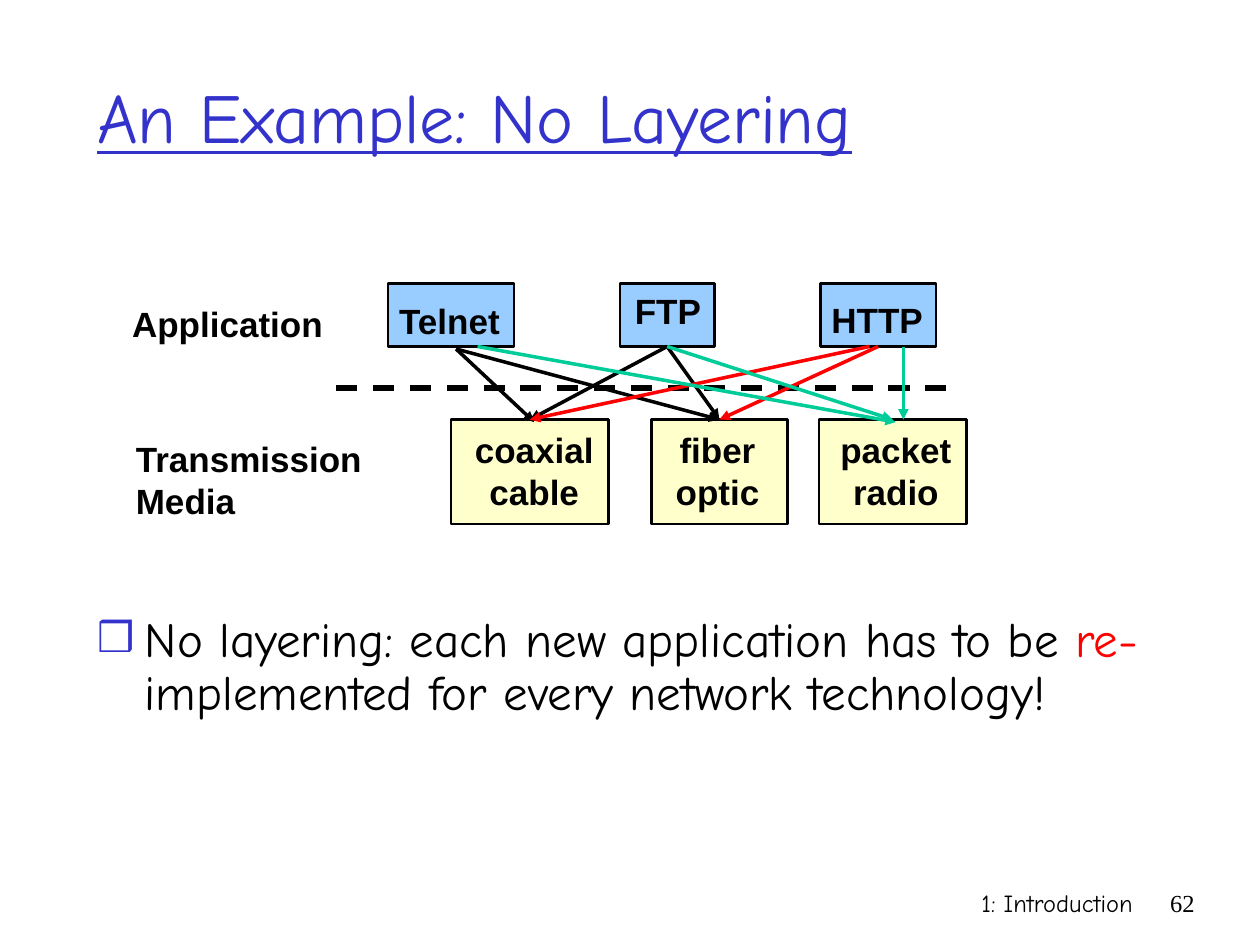
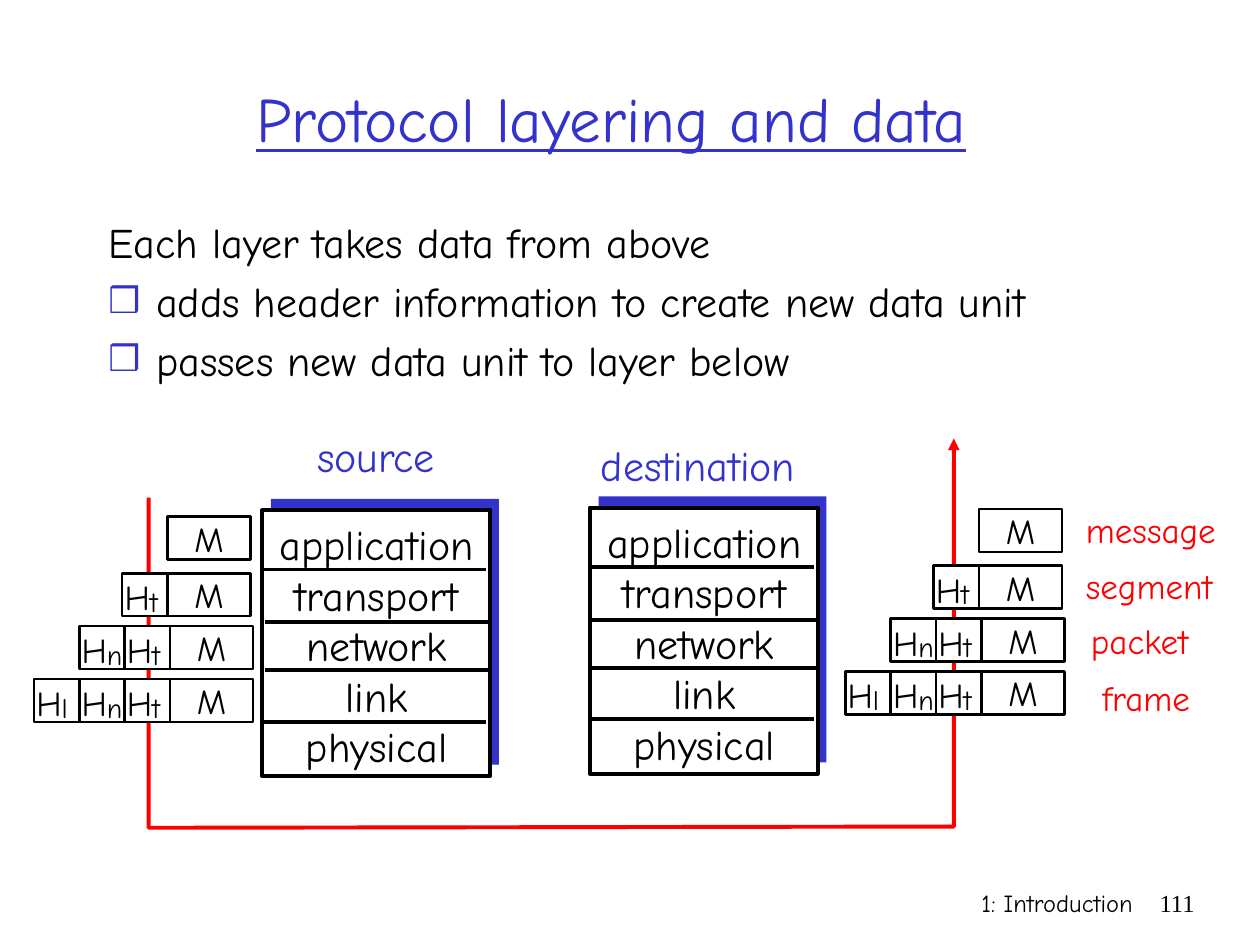
from lxml import etree
from pptx import Presentation
from pptx import util as u
from pptx.dml.color import RGBColor
from pptx.enum import dml, shapes, text
from pptx.oxml.ns import qn

HUES = {"ink": "000000", "white": "FFFFFF", "blue": "3333CC", "sky": "99CCFF",
        "cream": "FFFFCC", "red": "FF0000", "green": "00CC99"}
RGB = {name: RGBColor.from_string(code) for name, code in HUES.items()}
COMIC, ARIAL, TIMES = "Comic Neue", "Arial", "Times New Roman"
LEFT, MID, RIGHT = text.PP_ALIGN.LEFT, text.PP_ALIGN.CENTER, text.PP_ALIGN.RIGHT
INDENT = u.Inches(0.38)


def put(slide, at, words="", size=20, hue="ink", face=COMIC, bold=False,
        align=LEFT, wrap=False, fill=None, edge=1.5):
    """Add a text box, or a rectangle when a fill is given."""
    spot = [u.Inches(n) for n in at]
    if fill:
        box = slide.shapes.add_shape(shapes.MSO_SHAPE.RECTANGLE, *spot)
        box.shadow.inherit = False
        box.fill.solid()
        box.fill.fore_color.rgb = RGB[fill]
        if edge:
            box.line.color.rgb = RGB["ink"]
            box.line.width = u.Pt(edge)
        else:
            box.line.fill.background()
    else:
        box = slide.shapes.add_textbox(*spot)
    if words:
        frame = box.text_frame
        frame.text = words
        frame.word_wrap = wrap
        for para in frame.paragraphs:
            para.alignment = align
            for run in para.runs:
                run.font.size, run.font.name, run.font.bold = u.Pt(size), face, bold
                run.font.color.rgb = RGB[hue]
    return box


def link(slide, start, end, hue="ink", width=2.0, arrow=True):
    """Draw a line; an end is a point or a box (from its bottom, to its top)."""
    ends = [(0, 0) if hasattr(e, "shape_id") else e for e in (start, end)]
    line = slide.shapes.add_connector(
        shapes.MSO_CONNECTOR.STRAIGHT, *[u.Inches(n) for e in ends for n in e])
    if hasattr(start, "shape_id"):
        line.begin_connect(start, 2)
    if hasattr(end, "shape_id"):
        line.end_connect(end, 0)
    line.line.color.rgb = RGB[hue]
    line.line.width = u.Pt(width)
    props = line._element.spPr
    if arrow:
        etree.SubElement(props.find(qn("a:ln")), qn("a:tailEnd"), type="triangle")
    etree.SubElement(props, qn("a:effectLst"))
    return line


deck = Presentation()
deck.slide_width, deck.slide_height = u.Inches(10), u.Inches(7.5)

# Shared frame: title, list and footer; a list part is (words, colour)
pages = [
    dict(num="62", title="An Example: No Layering", size=40, align=LEFT,
         head=(0.67, 0.42, 8.5, 1), body=(0.67, 4.83, 8.67, 1.5), text=28, gap=0.9,
         items=[(True, [("No layering: each new application has to be ", "ink"),
                        ("re-", "red"),
                        ("implemented for every network technology!", "ink")])]),
    dict(num="111", title="Protocol layering and data", size=36, align=MID,
         head=(0.6, 0.31, 8.5, 1.25), body=(0.76, 1.67, 8.5, 1.66), text=24, gap=1.0,
         items=[(False, [("Each layer takes data from above", "ink")]),
                (True, [("adds header information to create new data unit", "ink")]),
                (True, [("passes new data unit to layer below", "ink")])]),
]
made = []
for page in pages:
    slide = deck.slides.add_slide(deck.slide_layouts[1])
    made.append(slide)
    title, body = slide.placeholders
    for hold, key in ((title, "head"), (body, "body")):
        hold.left, hold.top, hold.width, hold.height = [u.Inches(n) for n in page[key]]
        hold.text_frame.auto_size = text.MSO_AUTO_SIZE.NONE

    title.text_frame.text = page["title"]
    title.text_frame.vertical_anchor = text.MSO_ANCHOR.MIDDLE
    para = title.text_frame.paragraphs[0]
    para.alignment = page["align"]
    font = para.runs[0].font
    font.size, font.name, font.underline = u.Pt(page["size"]), COMIC, True
    font.color.rgb = RGB["blue"]

    for i, (mark, parts) in enumerate(page["items"]):
        frame = body.text_frame
        para = frame.add_paragraph() if i else frame.paragraphs[0]
        props = para._p.get_or_add_pPr()
        props.set("marL", str(INDENT))
        props.set("indent", str(-INDENT))
        if mark:
            tint = etree.SubElement(props, qn("a:buClr"))
            etree.SubElement(tint, qn("a:srgbClr"), val=HUES["blue"])
            etree.SubElement(props, qn("a:buSzPct"), val="85000")
            etree.SubElement(props, qn("a:buChar"), char="❒")
        else:
            etree.SubElement(props, qn("a:buNone"))
        para.line_spacing = page["gap"]
        para.space_before = u.Pt(page["text"] * 0.2 if i else 0)
        for words, hue in parts:
            run = para.add_run()
            run.text = words
            run.font.size, run.font.name = u.Pt(page["text"]), COMIC
            run.font.color.rgb = RGB[hue]

    put(slide, (5.92, 7, 3.17, 0.5), "1: Introduction", 14, align=RIGHT, wrap=True)
    put(slide, (9.08, 7, 0.5, 0.5), page["num"], 14, face=TIMES, align=RIGHT, wrap=True)

# Slide 1: applications above, media below
slide = made[0]
apps = {}
for name, left, width, spot in [
        ("Telnet", 3.08, 1, (3.07, 2.33, 1.1, 0.43)),
        ("FTP", 4.92, 0.75, (4.94, 2.25, 0.73, 0.43)),
        ("HTTP", 6.51, 0.92, (6.5, 2.32, 0.93, 0.43))]:
    apps[name] = put(slide, (left, 2.25, width, 0.5), fill="sky")
    put(slide, spot, name, face=ARIAL, bold=True)

media = []
for words, left, width, inner, span in [
        ("coaxial\ncable", 3.58, 1.25, 3.65, 1.18),
        ("fiber\noptic", 5.17, 1.08, 5.23, 0.93),
        ("packet\nradio", 6.5, 1.17, 6.57, 1.08)]:
    media.append(put(slide, (left, 3.33, width, 0.83), fill="cream"))
    put(slide, (inner, 3.35, span, 0.77), words, face=ARIAL, bold=True, align=MID)
coax, fiber, radio = media

# Row labels, with room to spare so that each word stays whole
put(slide, (0.95, 2.35, 1.8, 0.43), "Application", face=ARIAL, bold=True)
put(slide, (0.98, 3.42, 2.1, 0.77), "Transmission\nMedia", face=ARIAL, bold=True)

# Dashed border between the two rows, then every pairing
rule = link(slide, (2.67, 3.08), (7.58, 3.08), width=3, arrow=False)
rule.line.dash_style = dml.MSO_LINE.DASH
for start, end, hue in [
        ((3.62, 2.77), (4.24, 3.35), "ink"), ((3.62, 2.77), fiber, "ink"),
        (apps["FTP"], coax, "ink"), (apps["FTP"], fiber, "ink"),
        ((6.9, 2.75), coax, "red"), (apps["HTTP"], fiber, "red"),
        (apps["FTP"], radio, "green"), ((3.79, 2.75), (7.11, 3.35), "green"),
        ((7.17, 2.75), (7.17, 3.33), "green")]:
    link(slide, start, end, hue)

# Slide 2: the two protocol stacks
slide = made[1]
for left, top in ((2.08, 4.05), (4.68, 4.03)):
    put(slide, (left + 0.07, top - 0.09, 1.81, 2.11), fill="blue", edge=None)
    put(slide, (left, top, 1.81, 2.11), fill="white", edge=2.25)
    for shift, drop in ((-0.01, 0.47), (0.02, 0.89), (0.02, 1.27), (-0.01, 1.68)):
        x, y = left + shift, top + drop
        link(slide, (x, y), (x + 1.79, y), width=2.25, arrow=False)
    put(slide, (left - 0.02, top + 0.02, 1.86, 2.1),
        "application\ntransport\nnetwork\nlink\nphysical", 24, align=MID)
put(slide, (2.42, 3.37, 1.23, 0.5), "source", 24, "blue")
put(slide, (4.67, 3.44, 1.94, 0.5), "destination", 24, "blue")

# Route down the source and up the destination
route = [(u.Inches(x), u.Inches(y))
         for x, y in ((1.18, 3.95), (1.18, 6.57), (7.57, 6.56), (7.57, 3.48))]
pen = slide.shapes.build_freeform(*route[0])
pen.add_line_segments(route[1:], close=False)
path = pen.convert_to_shape()
path.shadow.inherit = False
path.fill.background()
path.line.color.rgb = RGB["red"]
path.line.width = u.Pt(2.25)
etree.SubElement(path._element.spPr.find(qn("a:ln")), qn("a:tailEnd"), type="triangle")

# Data units: each layer adds one header on the left
for dx, dy in ((0, 0), (6.44, -0.06)):
    for left, top, heads in ((1.33, 4.1, ""), (1.33, 4.55, "t"),
                             (1.35, 4.97, "tn"), (1.35, 5.39, "tnl")):
        x, y = left + dx, top + dy
        unit = put(slide, (x, y, 0.66, 0.34), "M", align=MID, fill="white")
        unit.text_frame.vertical_anchor = text.MSO_ANCHOR.MIDDLE
        for sub in heads:
            x -= 0.36
            put(slide, (x, y, 0.36, 0.34), fill="white")
            put(slide, (x - 0.08, y - 0.03, 0.34, 0.43), "H", wrap=True)
            put(slide, (x + 0.12, y + 0.04, 0.32, 0.37), sub, 16, wrap=True)

# Names of the data units
for name, left, top, width in (("message", 8.52, 3.99, 1.28), ("segment", 8.52, 4.43, 1.28),
                               ("packet", 8.56, 4.87, 1.07), ("frame", 8.65, 5.32, 0.99)):
    put(slide, (left, top, width, 0.43), name, hue="red")

deck.save("out.pptx")
